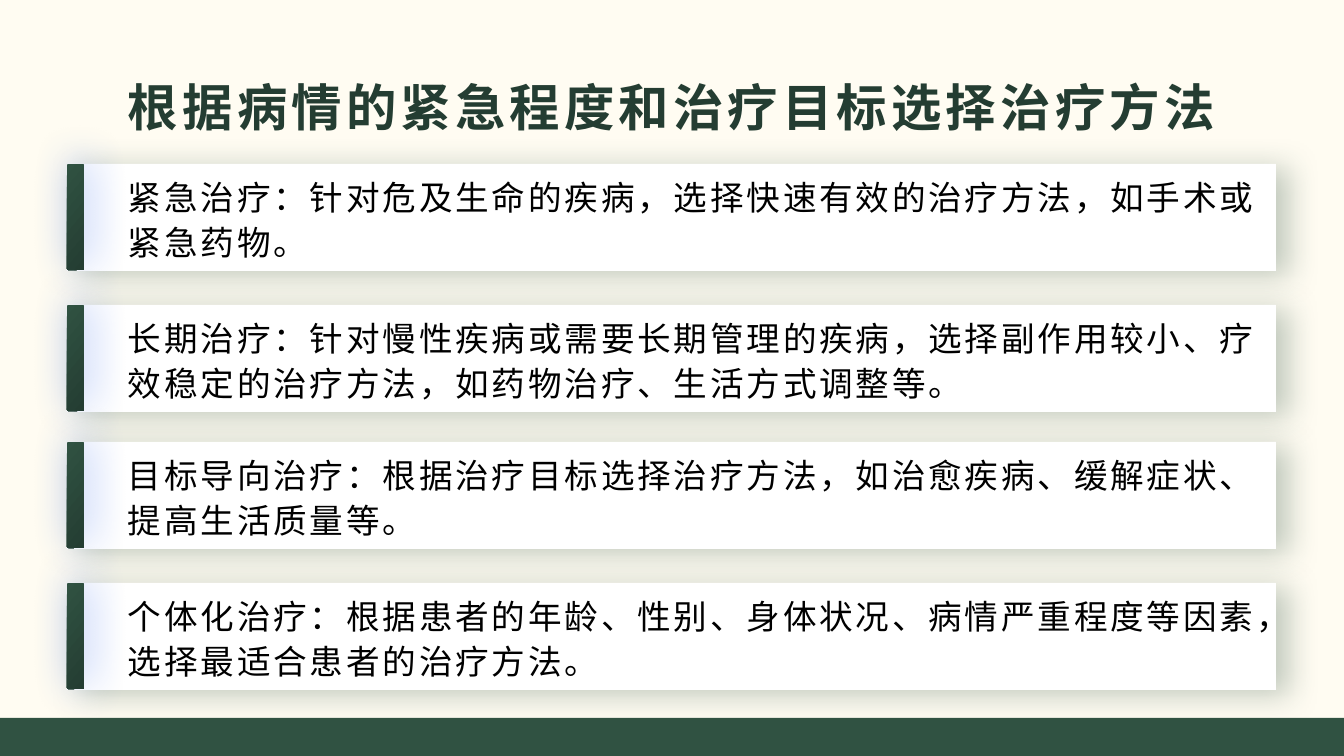
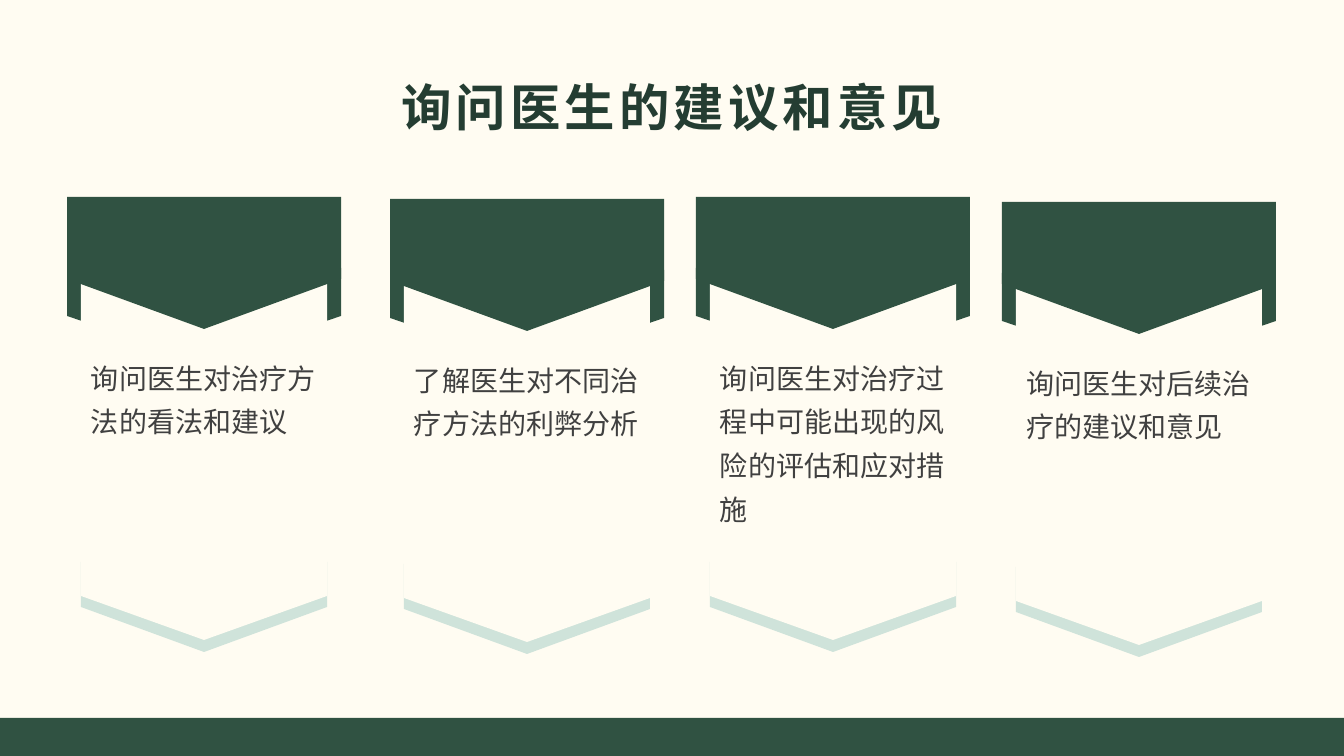
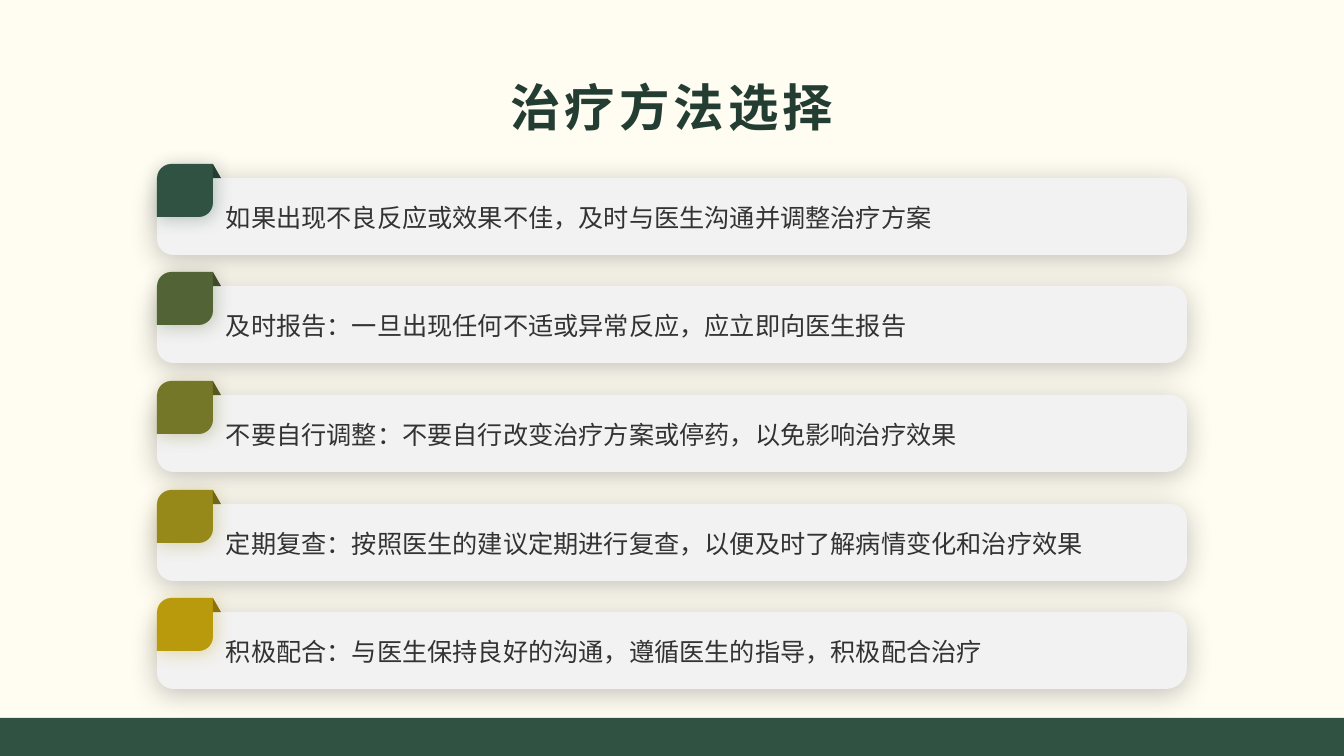
from lxml.etree import SubElement
from pptx import Presentation
from pptx.dml.color import RGBColor
from pptx.enum.shapes import MSO_SHAPE as Shape
from pptx.enum.text import MSO_ANCHOR as Anchor, PP_ALIGN as Align
from pptx.oxml.ns import qn
from pptx.util import Pt

PX = 914400 / 100.8
WIDTH, HEIGHT = 1344, 756
FONT = "Noto Sans CJK SC"
CREAM, GREEN, DARK, MINT = "FFFCF2", "305242", "243D32", "CFE3DA"

CHOICES = [
    (164, "紧急治疗：针对危及生命的疾病，选择快速有效的治疗方法，如手术或紧急药物。"),
    (305, "长期治疗：针对慢性疾病或需要长期管理的疾病，选择副作用较小、疗效稳定的治疗方法，如药物治疗、生活方式调整等。"),
    (442, "目标导向治疗：根据治疗目标选择治疗方法，如治愈疾病、缓解症状、提高生活质量等。"),
    (583, "个体化治疗：根据患者的年龄、性别、身体状况、病情严重程度等因素，选择最适合患者的治疗方法。"),
]
QUESTIONS = [
    (67, 197, "询问医生对治疗方法的看法和建议"),
    (390, 199, "了解医生对不同治疗方法的利弊分析"),
    (696, 197, "询问医生对治疗过程中可能出现的风险的评估和应对措施"),
    (1002, 202, "询问医生对后续治疗的建议和意见"),
]
REMINDERS = [
    (GREEN, DARK, "如果出现不良反应或效果不佳，及时与医生沟通并调整治疗方案"),
    ("526435", "3D4B28", "及时报告：一旦出现任何不适或异常反应，应立即向医生报告"),
    ("747628", "57581E", "不要自行调整：不要自行改变治疗方案或停药，以免影响治疗效果"),
    ("97881A", "716614", "定期复查：按照医生的建议定期进行复查，以便及时了解病情变化和治疗效果"),
    ("B99A0D", "8B730A", "积极配合：与医生保持良好的沟通，遵循医生的指导，积极配合治疗"),
]


def px(*lengths):
    """Turn pixel lengths into a list of EMU lengths."""
    return [round(length * PX) for length in lengths]


def rgb(color):
    """Turn a hex string into a colour."""
    return RGBColor.from_string(color)


def add_shadow(shape, color, alpha, blur, distance, angle):
    """Give a shape an outer shadow, with blur and distance in points."""
    effects = shape._element.spPr.find(qn("a:effectLst"))
    outer = SubElement(effects, qn("a:outerShdw"), blurRad=str(Pt(blur)),
                       dist=str(Pt(distance)), dir=str(angle * 60000),
                       algn="ctr", rotWithShape="0")
    tint = SubElement(outer, qn("a:srgbClr"), val=color)
    SubElement(tint, qn("a:alpha"), val=str(alpha * 1000))


def add_block(page, kind, left, top, width, height, color,
              adjust=(), shadow=None):
    """Add a preset shape without outline; two colours make a gradient."""
    block = page.shapes.add_shape(kind, *px(left, top, width, height))
    block.shadow.inherit = False
    block.line.fill.background()
    if isinstance(color, str):
        block.fill.solid()
        block.fill.fore_color.rgb = rgb(color)
    else:
        block.fill.gradient()
        block.fill.gradient_angle = 320
        for stop, shade in zip(block.fill.gradient_stops, color):
            stop.color.rgb = rgb(shade)
    for index, value in enumerate(adjust):
        block.adjustments[index] = value
    if shadow:
        add_shadow(block, *shadow)
    return block


def add_plate(page, left, top, width, length, point, color):
    """Add a plate that points down and whose tip is point high."""
    shift = (width - length) / 2
    plate = add_block(page, Shape.PENTAGON, left + shift, top - shift,
                      length, width, color, [point / min(width, length)])
    plate.rotation = 90


def add_text(page, text, left, top, width, height, size=18, color="000000",
             bold=False, spacing=0, line=1.0, align=Align.LEFT,
             anchor=Anchor.MIDDLE, insets=(10, 5, 10, 5)):
    """Add a wrapped text box that holds one paragraph."""
    box = page.shapes.add_textbox(*px(left, top, width, height))
    frame = box.text_frame
    frame.word_wrap = True
    frame.vertical_anchor = anchor
    (frame.margin_left, frame.margin_top,
     frame.margin_right, frame.margin_bottom) = px(*insets)
    para = frame.paragraphs[0]
    para.alignment = align
    para.line_spacing = line
    span = para.add_run()
    span.text = text
    span.font.size = Pt(size)
    span.font.bold = bold
    span.font.color.rgb = rgb(color)
    span.font.name = FONT
    props = span.font._element
    props.set("spc", str(spacing * 100))
    SubElement(props, qn("a:ea"), typeface=FONT)


def add_page(deck, title):
    """Add a page with the shared background, bottom band and title."""
    page = deck.slides.add_slide(deck.slide_layouts[6])
    page.background.fill.solid()
    page.background.fill.fore_color.rgb = rgb(CREAM)
    add_block(page, Shape.RECTANGLE, 0, 718, WIDTH, HEIGHT - 718, GREEN)
    add_text(page, title, 67, 67, 1210, 78, size=36, color=DARK, bold=True,
             spacing=3, align=Align.CENTER)
    return page


def add_choice(page, top, text):
    """Add a white card with a green bar on its left."""
    add_block(page, Shape.RECTANGLE, 67, top, 1209, 107, "FFFFFF",
              shadow=(GREEN, 30, 22, 9, 17))
    add_block(page, Shape.ROUNDED_RECTANGLE, 67, top, 17, 106, (GREEN, DARK),
              [0.08], ("4575F0", 45, 30, 5, 315))
    add_text(page, text, 118, top, 1157, 107, size=24, spacing=2, line=1.1,
             insets=(10, 5, 0, 5))


def add_question(page, left, top, text):
    """Add a column of stacked plates with a text."""
    add_plate(page, left, top + 71, 274, 95, 47, GREEN)
    add_plate(page, left + 14, top + 365, 246, 90, 45, MINT)
    add_plate(page, left + 14, top + 71, 246, 372, 44, CREAM)
    add_plate(page, left, top, 274, 132, 50, GREEN)
    add_text(page, text, left + 14, top + 149, 246, 222, size=20,
             color="404040", line=1.3, anchor=Anchor.TOP)


def add_reminder(page, top, color, fold, text):
    """Add a grey card with a folded coloured tab."""
    add_block(page, Shape.ROUND_2_DIAG_RECTANGLE, 157, top + 14, 1030, 77,
              "F2F2F2", [0.27, 0.21], ("000000", 23, 20, 3, 107))
    add_block(page, Shape.ROUND_2_DIAG_RECTANGLE, 157, top, 56, 53,
              color, [0.27, 0], (color, 31, 13, 2, 45))
    add_block(page, Shape.RIGHT_TRIANGLE, 213, top, 8, 14, fold)
    add_text(page, text, 216, top + 14, 943, 76, color="333333", line=1.5,
             insets=(10, 0, 10, 12))


def main():
    """Build the deck and save it."""
    deck = Presentation()
    deck.slide_width, deck.slide_height = px(WIDTH, HEIGHT)

    page = add_page(deck, "根据病情的紧急程度和治疗目标选择治疗方法")
    for choice in CHOICES:
        add_choice(page, *choice)

    page = add_page(deck, "询问医生的建议和意见")
    for question in QUESTIONS:
        add_question(page, *question)

    page = add_page(deck, "治疗方法选择")
    for row, reminder in enumerate(REMINDERS):
        add_reminder(page, round(164 + row * 108.5), *reminder)

    deck.save("out.pptx")


if __name__ == "__main__":
    main()
